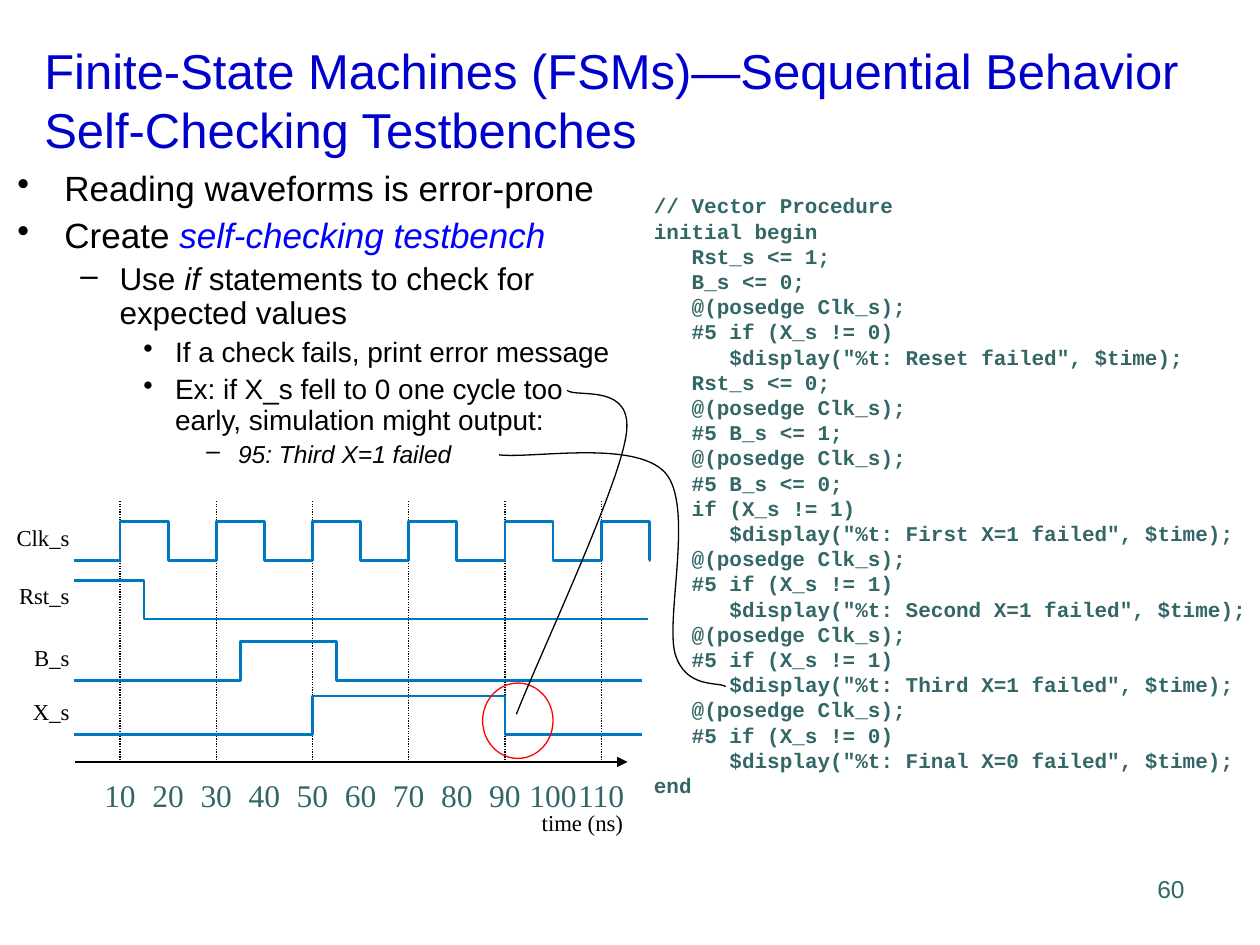
from dataclasses import dataclass

from pptx import Presentation
from pptx import util as u
from pptx.dml.color import RGBColor
from pptx.enum import dml, shapes, text
from pptx.oxml.ns import qn


@dataclass(frozen=True)
class Theme:
    title: str = "0000CC"
    ink: str = "000000"
    accent: str = "0000FF"
    code: str = "336666"
    wave: str = "0078C1"
    mark: str = "FF0000"
    paper: str = "FFFFFF"
    sans: str = "Arial"
    serif: str = "Times New Roman"
    mono: str = "Courier New"
    title_size: int = 28
    body_sizes: tuple = (20, 18, 16, 14)
    code_size: int = 12
    label_size: int = 13
    tick_size: int = 18
    number_size: int = 14
    thin: float = 0.75
    thick: float = 1.62


@dataclass(frozen=True)
class Box:
    """A region in centimetres."""
    left: float
    top: float
    width: float
    height: float

    def inner(self, left, top, width, height):
        return Box(self.left + left, self.top + top, width, height)

    def lengths(self):
        return [u.Cm(n) for n in (self.left, self.top, self.width, self.height)]


THEME = Theme()
TITLE = "Finite-State Machines (FSMs)—Sequential Behavior\vSelf-Checking Testbenches"
BULLETS = [  # level, spans
    (0, ["Reading waveforms is error-prone"]),
    (0, ["Create ", ("self-checking testbench", {"color": THEME.accent, "italic": True})]),
    (1, ["Use ", ("if ", {"italic": True}), "statements to check for expected values"]),
    (2, ["If a check fails, print error message"]),
    (2, ["Ex: if X_s fell to 0 one cycle too early, simulation might output:"]),
    (3, [("95: Third X=1 failed", {"italic": True})]),
]
LEVELS = [  # bullet, left margin, hanging indent, space before
    ("•", 0.95, 0.95, 5), ("–", 2.06, 0.79, 4.5), ("•", 3.18, 0.64, 4), ("–", 4.45, 0.64, 3.5),
]
CODE = """\
// Vector Procedure
initial begin
   Rst_s <= 1;
   B_s <= 0;
   @(posedge Clk_s);
   #5 if (X_s != 0)
      $display("%t: Reset failed", $time);
   Rst_s <= 0;
   @(posedge Clk_s);
   #5 B_s <= 1;
   @(posedge Clk_s);
   #5 B_s <= 0;
   if (X_s != 1)
      $display("%t: First X=1 failed", $time);
   @(posedge Clk_s);
   #5 if (X_s != 1)
      $display("%t: Second X=1 failed", $time);
   @(posedge Clk_s);
   #5 if (X_s != 1)
      $display("%t: Third X=1 failed", $time);
   @(posedge Clk_s);
   #5 if (X_s != 0)
      $display("%t: Final X=0 failed", $time);
end"""
SIGNALS = [  # name, y of low level, starts high, times of change, end of trace
    ("Clk_s", 1.2, False, range(10, 121, 10), 13.08),
    ("Rst_s", 2.38, True, [15], 13.06),
    ("B_s", 3.62, False, [35, 55], 12.95),
    ("X_s", 4.71, False, [50, 90], 12.95),
]
CALLOUTS = [  # start point, then three Bezier points for each curve
    [(14.63, 13.84), (14.48, 13.74), (13.82, 13.89), (13.61, 13.18), (13.41, 12.45),
     (14, 10.19), (13.41, 9.53), (12.8, 8.86), (10.74, 9.25), (10.06, 9.17)],
    [(11.43, 7.87), (11.63, 8.03), (12.8, 7.7), (12.62, 8.79), (12.45, 9.88),
     (10.87, 13.23), (10.41, 14.4)],
]


def write(para, spans, *, size, font, color, bold=False, italic=False,
          align=text.PP_ALIGN.LEFT):
    """Fill a paragraph; a span is a string or a (string, overrides) pair."""
    para.alignment = align
    for span in spans:
        words, changes = (span, {}) if isinstance(span, str) else span
        look = dict(color=color, bold=bold, italic=italic) | changes
        run = para.add_run()
        run.text = words
        run.font.name, run.font.size = font, u.Pt(size)
        run.font.bold, run.font.italic = look["bold"], look["italic"]
        run.font.color.rgb = RGBColor.from_string(look["color"])


def add_frame(page, box, inset=True):
    frame = page.shapes.add_textbox(*box.lengths()).text_frame
    frame.word_wrap = True
    if not inset:
        frame.margin_left = frame.margin_right = frame.margin_top = frame.margin_bottom = 0
    return frame


def add_label(page, box, words, inset=False, **look):
    write(add_frame(page, box, inset).paragraphs[0], [words], **look)


def next_para(frame, index):
    return frame.add_paragraph() if index else frame.paragraphs[0]


def set_line(shape, color, width):
    shape.line.color.rgb = RGBColor.from_string(color)
    shape.line.width = u.Pt(width)


def add_line(page, start, end, width):
    line = page.shapes.add_connector(
        shapes.MSO_CONNECTOR.STRAIGHT, *[u.Cm(n) for n in (*start, *end)])
    set_line(line, THEME.ink, width)
    fill = line._element.spPr
    fill.append(fill.makeelement(qn("a:effectLst"), {}))
    return line


def add_outline(page, points, color, width):
    start, *rest = [(u.Cm(x), u.Cm(y)) for x, y in points]
    builder = page.shapes.build_freeform(*start)
    builder.add_line_segments(rest, close=False)
    shape = builder.convert_to_shape()
    shape.fill.background()
    shape.shadow.inherit = False
    set_line(shape, color, width)
    return shape


def add_curve(page, points):
    """Draw an outline, then join each three of its segments into one Bezier curve."""
    shape = add_outline(page, points, THEME.ink, THEME.thin)
    segments = list(shape._element.iter(qn("a:lnTo")))
    for first in range(0, len(segments), 3):
        curve = segments[first].makeelement(qn("a:cubicBezTo"), {})
        segments[first].addprevious(curve)
        for segment in segments[first:first + 3]:
            curve.append(segment[0])
            segment.getparent().remove(segment)


def place_title(page, box):
    title = page.shapes.title
    title.left, title.top, title.width, title.height = box.lengths()
    frame = title.text_frame
    frame.auto_size = text.MSO_AUTO_SIZE.NONE
    frame.vertical_anchor = text.MSO_ANCHOR.MIDDLE
    write(frame.paragraphs[0], [], size=0, font="", color="")
    frame.paragraphs[0].text = TITLE
    for run in frame.paragraphs[0].runs:
        run.font.name, run.font.size = THEME.sans, u.Pt(THEME.title_size)
        run.font.color.rgb = RGBColor.from_string(THEME.title)


def place_bullets(page, box):
    frame = add_frame(page, box)
    for index, (level, spans) in enumerate(BULLETS):
        mark, margin, hang, before = LEVELS[level]
        para = next_para(frame, index)
        para.level, para.line_spacing, para.space_before = level, 0.9, u.Pt(before)
        write(para, spans, size=THEME.body_sizes[level], font=THEME.sans, color=THEME.ink)
        props = para._p.get_or_add_pPr()
        props.set("marL", str(u.Cm(margin)))
        props.set("indent", str(-u.Cm(hang)))
        props.append(props.makeelement(qn("a:buChar"), {"char": mark}))


def place_code(page, box):
    frame = add_frame(page, box, inset=False)
    fill = page.shapes[-1].fill
    fill.solid()
    fill.fore_color.rgb = RGBColor.from_string(THEME.paper)
    for index, line in enumerate(CODE.splitlines()):
        words = line.lstrip()
        columns = 3 + len(line) - len(words)
        para = next_para(frame, index)
        write(para, [words], size=THEME.code_size, font=THEME.mono, color=THEME.code, bold=True)
        props = para._p.get_or_add_pPr()
        props.set("marL", str(u.Cm(0.254 * columns)))
        props.set("indent", "0")


def place_waveforms(page, box):
    swing, start, axis_y = 0.78, 1.5, 5.26
    label = dict(size=THEME.label_size, font=THEME.serif, color=THEME.ink)

    def at(x, y):
        return box.left + x, box.top + y

    def time_x(time):
        return 1.45 + 0.097 * time

    for time in range(10, 111, 10):
        add_label(page, box.inner(time_x(time) - 0.9, 5.42, 1.8, 1.02), str(time), inset=True,
                  size=THEME.tick_size, font=THEME.serif, color=THEME.code,
                  align=text.PP_ALIGN.CENTER)
    for time in (10, 30, 50, 70, 90, 110):
        guide = add_line(page, at(time_x(time), 0), at(time_x(time), axis_y), THEME.thin)
        guide.line.dash_style = dml.MSO_LINE.ROUND_DOT
    for name, low, high, changes, end in SIGNALS:
        add_label(page, box.inner(0, low - 0.75, 1.4, 0.56), name,
                  align=text.PP_ALIGN.RIGHT, **label)
        y = low - swing * high
        points = [at(start, y)]
        for time in changes:
            points.append(at(time_x(time), y))
            y = 2 * low - swing - y
            points.append(at(time_x(time), y))
        add_outline(page, points + [at(end, y)], THEME.wave, THEME.thick)
    axis = add_line(page, at(1.52, axis_y), at(12.65, axis_y), THEME.thick)
    stroke = axis.line._get_or_add_ln()
    stroke.append(stroke.makeelement(qn("a:tailEnd"), {"type": "triangle"}))
    add_label(page, box.inner(10.29, 6.2, 2.9, 0.56), "time (ns)",
              align=text.PP_ALIGN.CENTER, **label)
    ring = page.shapes.add_shape(shapes.MSO_SHAPE.OVAL, *box.inner(9.73, 3.67, 1.42, 1.52).lengths())
    ring.fill.background()
    ring.shadow.inherit = False
    set_line(ring, THEME.mark, THEME.thin)


def main():
    deck = Presentation()
    deck.slide_width, deck.slide_height = u.Cm(25.4), u.Cm(19.05)
    page = deck.slides.add_slide(deck.slide_layouts[5])
    place_title(page, Box(0.64, 0.84, 24.21, 2.34))
    place_code(page, Box(12.42, 3.89, 12.83, 12.19))
    place_waveforms(page, Box(0, 10.1, 13.2, 6.8))
    place_bullets(page, Box(0.1, 3.33, 12.8, 6.55))
    for points in CALLOUTS:
        add_curve(page, points)
    add_label(page, Box(18.85, 17.5, 5.28, 1.1), "60", inset=True, size=THEME.number_size,
              font=THEME.sans, color=THEME.code, align=text.PP_ALIGN.RIGHT)
    deck.save("out.pptx")


if __name__ == "__main__":
    main()
